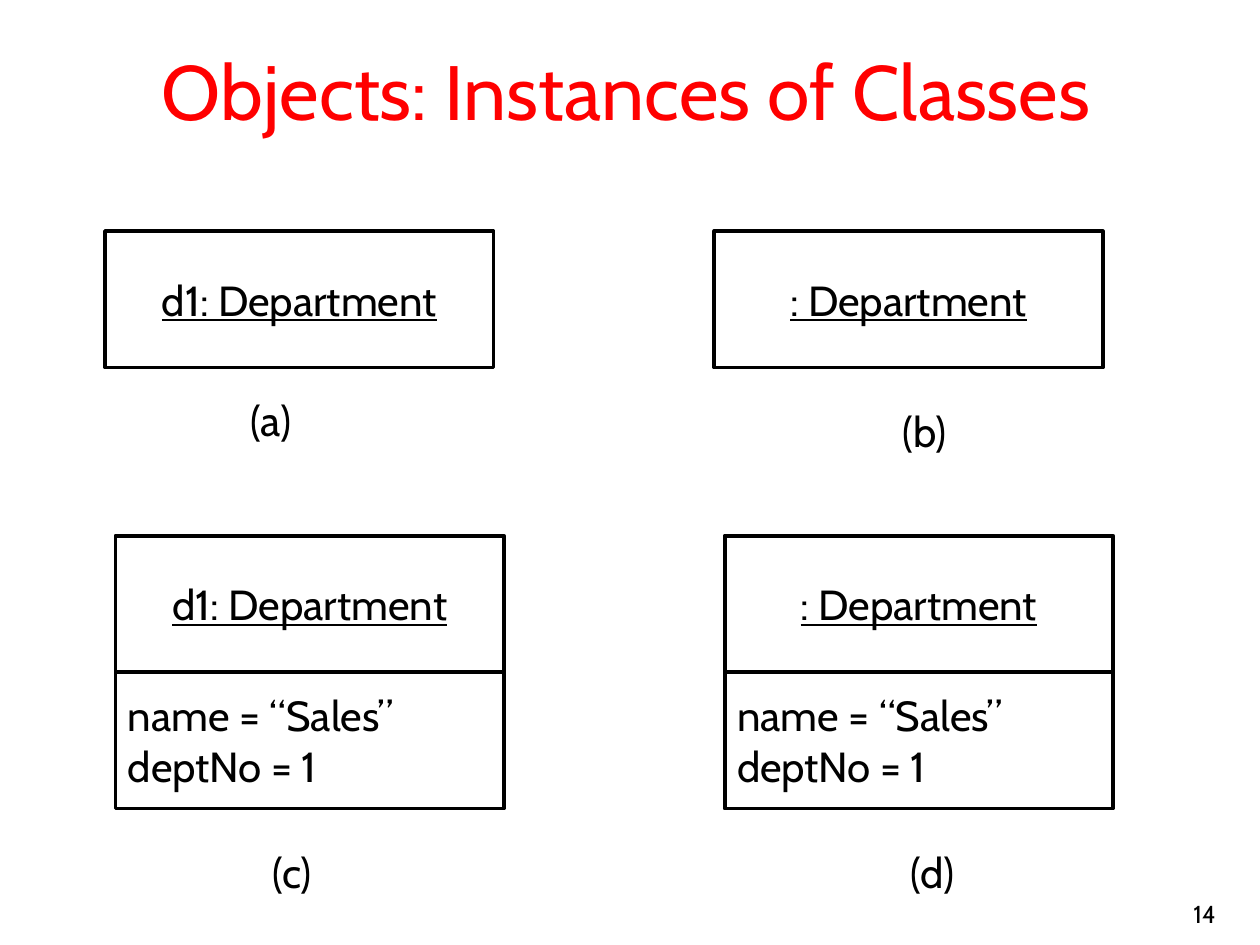
from pptx import Presentation
from pptx.dml.color import RGBColor
from pptx.enum import shapes, text
from pptx.util import Cm, Pt

COLORS = {"paper": "FFFFFF", "ink": "000000", "title": "FF0000"}
FONT = "Cabin"
BOX_WIDTH, BOX_HEIGHT = 7.83, 2.75
ATTRIBUTES = "name = “Sales”\ndeptNo = 1"
CENTER, LEFT, RIGHT = text.PP_ALIGN.CENTER, text.PP_ALIGN.LEFT, text.PP_ALIGN.RIGHT


def color(name):
    """Return the named colour."""
    return RGBColor.from_string(COLORS[name])


def place(shape, left, top, width, height):
    """Move and size a shape, in centimetres."""
    shape.left, shape.top = Cm(left), Cm(top)
    shape.width, shape.height = Cm(width), Cm(height)


def fill_white(shape):
    """Give a shape the paper colour."""
    shape.fill.solid()
    shape.fill.fore_color.rgb = color("paper")


def write(shape, words, size=24, ink="ink", align=CENTER,
          anchor=text.MSO_ANCHOR.MIDDLE, underline=None):
    """Write formatted paragraphs into a shape."""
    frame = shape.text_frame
    frame.text = words
    frame.word_wrap = True
    frame.vertical_anchor = anchor
    for para in frame.paragraphs:
        para.alignment = align
        for span in para.runs:
            span.font.name = FONT
            span.font.size = Pt(size)
            span.font.color.rgb = color(ink)
            span.font.underline = underline


def add_title(page, words):
    """Place and format the title placeholder."""
    title = page.shapes.title
    place(title, 0.43, 0.43, 24.4, 2.75)
    fill_white(title)
    write(title, words, size=44, ink="title")


def add_box(parent, left, top, words, **style):
    """Add one outlined compartment."""
    box = parent.shapes.add_shape(
        shapes.MSO_SHAPE.RECTANGLE, Cm(left), Cm(top), Cm(BOX_WIDTH), Cm(BOX_HEIGHT))
    box.shadow.inherit = False
    fill_white(box)
    box.line.color.rgb = color("ink")
    box.line.width = Pt(2.25)
    write(box, words, **style)


def add_object(page, left, top, name, attributes=None):
    """Add an object box, grouped with its attributes if it has any."""
    parent = page.shapes.add_group_shape() if attributes else page
    add_box(parent, left, top, name, underline=True)
    if attributes:
        add_box(parent, left, top + BOX_HEIGHT, attributes, align=LEFT)


def add_label(page, left, top, width, words, **style):
    """Add a one-line text box."""
    box = page.shapes.add_textbox(Cm(left), Cm(top), Cm(width), Cm(1.27))
    write(box, words, **style)


def main():
    """Build the slide and save it."""
    deck = Presentation()
    deck.slide_width, deck.slide_height = Cm(25.4), Cm(19.05)
    page = deck.slides.add_slide(deck.slide_layouts[5])
    add_label(page, 19.48, 17.58, 5.28, "14", size=14, align=RIGHT,
              anchor=text.MSO_ANCHOR.BOTTOM)
    add_title(page, "Objects: Instances of Classes")
    for column, name in enumerate(("d1: Department", ": Department")):
        shift = column * 12.28
        add_object(page, 2.12 + shift, 4.66, name)
        add_object(page, 2.33 + shift, 10.8, name, ATTRIBUTES)
    for words, middle, top in (("(a)", 5.46, 7.83), ("(b)", 18.63, 8.04),
                               ("(c)", 5.89, 16.93), ("(d)", 18.8, 16.93)):
        add_label(page, middle - 0.8, top, 1.6, words, anchor=text.MSO_ANCHOR.TOP)
    deck.save("out.pptx")


if __name__ == "__main__":
    main()
